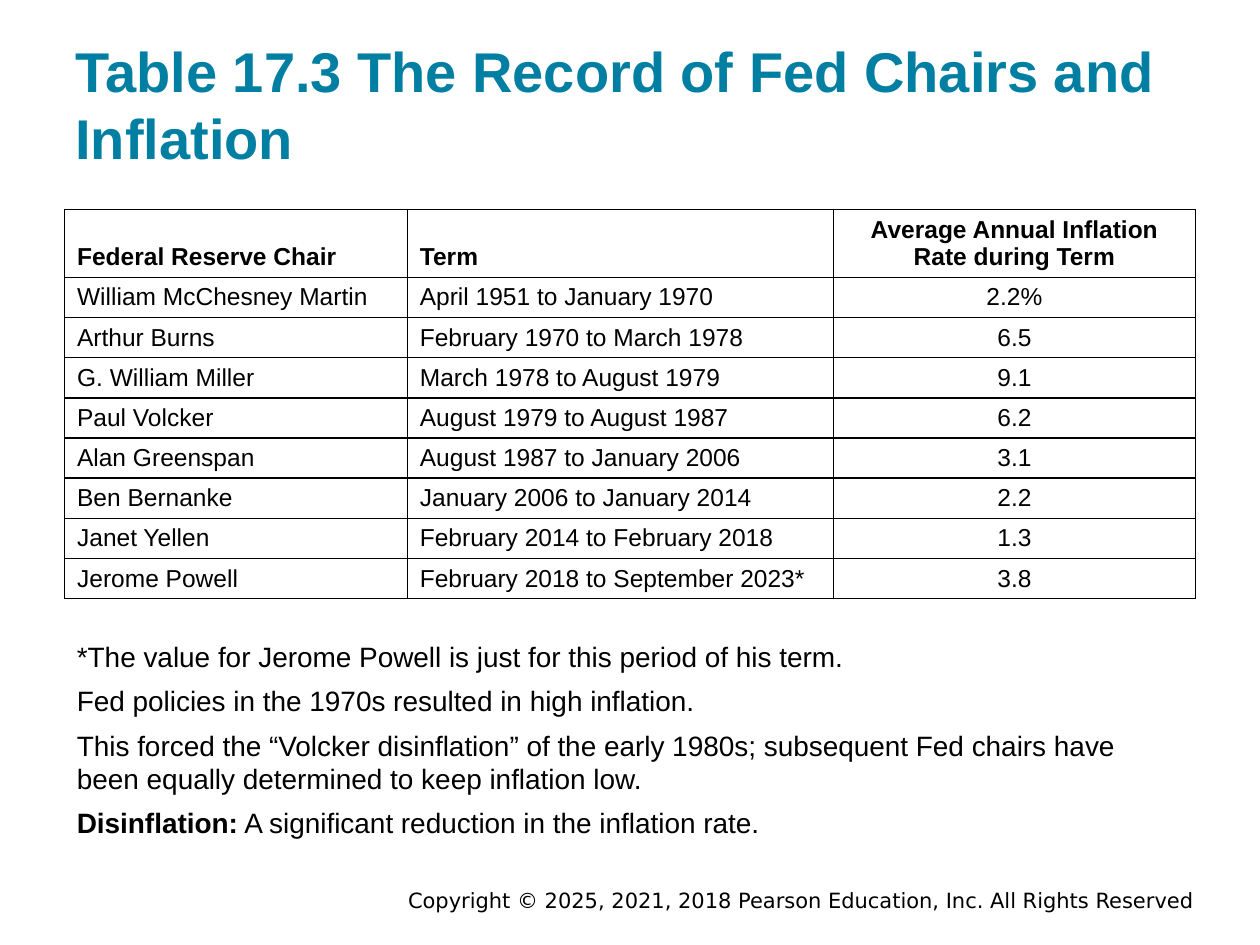
from lxml import etree
from pptx import Presentation
from pptx.dml.color import RGBColor
from pptx.enum.text import MSO_ANCHOR, MSO_AUTO_SIZE, PP_ALIGN
from pptx.oxml.ns import qn
from pptx.util import Cm, Pt

LEFT, CENTER, RIGHT = PP_ALIGN.LEFT, PP_ALIGN.CENTER, PP_ALIGN.RIGHT
TOP, MIDDLE, BOTTOM = MSO_ANCHOR.TOP, MSO_ANCHOR.MIDDLE, MSO_ANCHOR.BOTTOM
NO_FIT = MSO_AUTO_SIZE.NONE
TITLE_ONLY = 5

TEAL = RGBColor(0x00, 0x7F, 0xA3)
BLACK = RGBColor(0x00, 0x00, 0x00)

TITLE = "Table 17.3 The Record of Fed Chairs and Inflation"
COPYRIGHT = "Copyright © 2025, 2021, 2018 Pearson Education, Inc. All Rights Reserved"
CHAIRS = [
    ("Federal Reserve Chair", "Term", "Average Annual Inflation Rate during Term"),
    ("William McChesney Martin", "April 1951 to January 1970", "2.2%"),
    ("Arthur Burns", "February 1970 to March 1978", "6.5"),
    ("G. William Miller", "March 1978 to August 1979", "9.1"),
    ("Paul Volcker", "August 1979 to August 1987", "6.2"),
    ("Alan Greenspan", "August 1987 to January 2006", "3.1"),
    ("Ben Bernanke", "January 2006 to January 2014", "2.2"),
    ("Janet Yellen", "February 2014 to February 2018", "1.3"),
    ("Jerome Powell", "February 2018 to September 2023*", "3.8"),
]
NOTES = [
    [("*The value for Jerome Powell is just for this period of his term.", False)],
    [("Fed policies in the 1970s resulted in high inflation.", False)],
    [("This forced the “Volcker disinflation” of the early 1980s; subsequent Fed "
      "chairs have been equally determined to keep inflation low.", False)],
    [("Disinflation:", True), (" A significant reduction in the inflation rate.", False)],
]


class SlideBuilder:
    font = {"name": "Arial", "size": Pt(14), "bold": False}

    def __init__(self, prs):
        self.s = prs.slides.add_slide(prs.slide_layouts[TITLE_ONLY])

    def apply(self, obj, values):
        for name, value in values.items():
            setattr(obj, name, value)

    def run(self, p, text, color=BLACK, **fmt):
        r = p.add_run()
        r.text = text
        self.apply(r.font, {**self.font, **fmt})
        r.font.color.rgb = color

    def place(self, sp, box):
        self.apply(sp, dict(zip(("left", "top", "width", "height"), map(Cm, box))))

    def frame(self, sp, anchor, top, bottom):
        tf = sp.text_frame
        self.apply(tf, {
            "word_wrap": True, "auto_size": NO_FIT, "vertical_anchor": anchor,
            "margin_left": Cm(0.25), "margin_right": Cm(0.25),
            "margin_top": Cm(top), "margin_bottom": Cm(bottom),
        })
        return tf

    def title(self, text, box):
        sp = self.s.shapes.title
        self.place(sp, box)
        p = self.frame(sp, BOTTOM, 0.25, 0.25).paragraphs[0]
        p.alignment = LEFT
        self.run(p, text, TEAL, size=Pt(32), bold=True)

    def text(self, paragraphs, box, anchor=TOP, align=LEFT, top=0, bottom=0.25, **fmt):
        sp = self.s.shapes.add_textbox(*map(Cm, box))
        tf = self.frame(sp, anchor, top, bottom)
        for i, runs in enumerate(paragraphs):
            p = tf.add_paragraph() if i else tf.paragraphs[0]
            p.alignment = align
            p.space_before = Pt(6 if i else 0)
            for text, bold in runs:
                self.run(p, text, bold=bold, **fmt)

    def borders(self, cell):
        tcPr = cell._tc.get_or_add_tcPr()
        for i, side in enumerate(("a:lnL", "a:lnR", "a:lnT", "a:lnB")):
            ln = etree.Element(qn(side), w=str(Pt(1)))
            fill = etree.SubElement(ln, qn("a:solidFill"))
            etree.SubElement(fill, qn("a:srgbClr"), val=str(BLACK))
            tcPr.insert(i, ln)

    def table(self, rows, left, top, widths, header_height, row_height):
        heights = [header_height] + [row_height] * (len(rows) - 1)
        box = (left, top, sum(widths), sum(heights))
        table = self.s.shapes.add_table(len(rows), len(widths), *map(Cm, box)).table
        table.horz_banding = False
        for column, width in zip(table.columns, widths):
            column.width = Cm(width)
        for i, values in enumerate(rows):
            table.rows[i].height = Cm(heights[i])
            for j, value in enumerate(values):
                cell = table.cell(i, j)
                cell.fill.background()
                cell.vertical_anchor = TOP if i else BOTTOM
                self.borders(cell)
                p = cell.text_frame.paragraphs[0]
                p.alignment = CENTER if j == 2 else LEFT
                self.run(p, value, bold=i == 0)


def main():
    prs = Presentation()
    prs.slide_width, prs.slide_height = Cm(25.4), Cm(19.05)
    b = SlideBuilder(prs)
    b.text([[(COPYRIGHT, False)]], (4.45, 17.86, 19.88, 0.56), MIDDLE, RIGHT,
           top=0.13, bottom=0.13, name="DejaVu Sans", size=Pt(12))
    b.title(TITLE, (1.27, 0.64, 22.86, 3.05))
    b.table(CHAIRS, 1.3, 4.22, (6.91, 8.59, 7.3), 1.37, 0.81)
    b.text(NOTES, (1.3, 12.9, 22.8, 4.32), size=Pt(16))
    prs.save("out.pptx")


if __name__ == "__main__":
    main()
